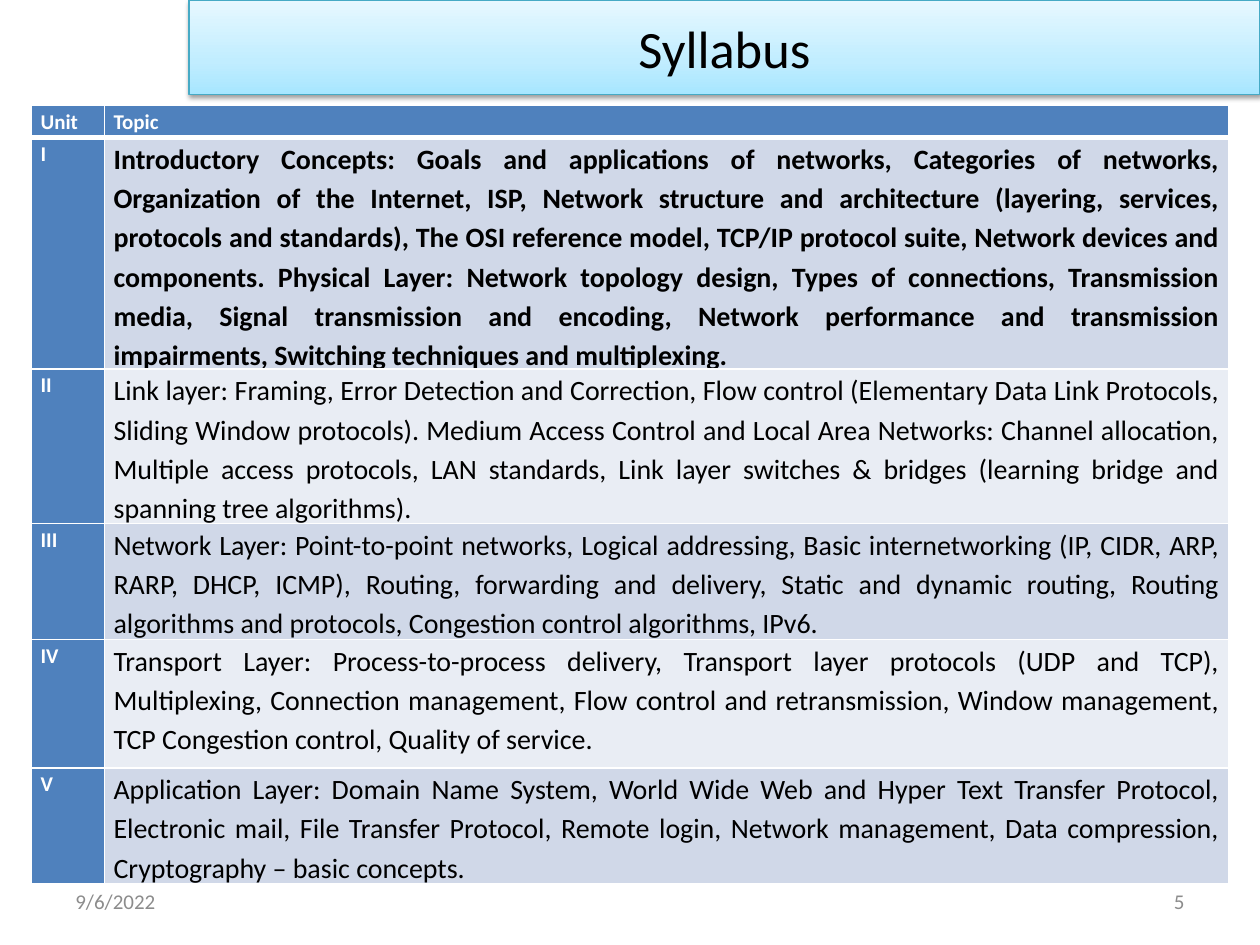
from dataclasses import dataclass

import pptx
import pptx.dml.color
import pptx.enum.text
import pptx.oxml
import pptx.oxml.ns
import pptx.util

Cm = pptx.util.Cm
Pt = pptx.util.Pt
Align = pptx.enum.text.PP_ALIGN
Anchor = pptx.enum.text.MSO_ANCHOR
qn = pptx.oxml.ns.qn

FONT = "Calibri"
BLUE, WHITE, BLACK, GREY = "4F81BD", "FFFFFF", "000000", "8C8C8C"
BANDS = ("D0D8E8", "E9EDF4")
HEAD_HIGH = 0.64
WIDTHS = (1.47, 22.66)


@dataclass
class Unit:
    label: str
    topic: str
    high: float
    bold: bool = False


@dataclass
class Note:
    text: str
    left: float
    align: Align


UNITS = [
    Unit("I", "Introductory Concepts: Goals and applications of networks, Categories of networks, "
         "Organization of the Internet, ISP, Network structure and architecture (layering, services, "
         "protocols and standards), The OSI reference model, TCP/IP protocol suite, Network devices "
         "and components. Physical Layer: Network topology design, Types of connections, Transmission "
         "media, Signal transmission and encoding, Network performance and transmission impairments, "
         "Switching techniques and multiplexing.", 3.23, True),
    Unit("II", "Link layer: Framing, Error Detection and Correction, Flow control (Elementary Data "
         "Link Protocols, Sliding Window protocols). Medium Access Control and Local Area Networks: "
         "Channel allocation, Multiple access protocols, LAN standards, Link layer switches & bridges "
         "(learning bridge and spanning tree algorithms).", 2.59),
    Unit("III", "Network Layer: Point-to-point networks, Logical addressing, Basic internetworking "
         "(IP, CIDR, ARP, RARP, DHCP, ICMP), Routing, forwarding and delivery, Static and dynamic "
         "routing, Routing algorithms and protocols, Congestion control algorithms, IPv6.", 1.93),
    Unit("IV", "Transport Layer: Process-to-process delivery, Transport layer protocols (UDP and "
         "TCP), Multiplexing, Connection management, Flow control and retransmission, Window "
         "management, TCP Congestion control, Quality of service.", 2.59),
    Unit("V", "Application Layer: Domain Name System, World Wide Web and Hyper Text Transfer "
         "Protocol, Electronic mail, File Transfer Protocol, Remote login, Network management, Data "
         "compression, Cryptography – basic concepts.", 1.83),
]
NOTES = [Note("9/6/2022", 1.27, Align.LEFT), Note("5", 18.21, Align.RIGHT)]


def tint(code: str) -> pptx.dml.color.RGBColor:
    return pptx.dml.color.RGBColor.from_string(code)


def node(xml: str):
    """Parse an element whose tag has the a: prefix."""
    tag, rest = xml[:-1].split(">", 1)[0], xml[xml.index(">"):]
    slash = "/" if tag.endswith("/") else ""
    return pptx.oxml.parse_xml(f"{tag.rstrip('/')} {pptx.oxml.ns.nsdecls('a')}{slash}{rest}")


def write(frame, text: str, size: float, code: str, align: Align, bold: bool = False):
    line = frame.paragraphs[0]
    line.alignment = align
    run = line.add_run()
    run.text = text
    font = run.font
    font.name, font.size, font.bold = FONT, Pt(size), bold
    font.color.rgb = tint(code)
    return line


def add_title(slide) -> None:
    title = slide.shapes.title
    title.left, title.top, title.width, title.height = Cm(3.81), Cm(0), Cm(21.59), Cm(1.9)
    title.fill.gradient()
    title.fill.gradient_angle = 90
    props = title.element.spPr
    stops = props.find(".//" + qn("a:gsLst"))
    for stop in list(stops):
        stops.remove(stop)
    for place, code in ((0, "A7E6FF"), (35, "C1EDFF"), (100, "E7F8FF")):
        stops.append(node(f'<a:gs pos="{place * 1000}"><a:srgbClr val="{code}"/></a:gs>'))
    title.line.color.rgb = tint("46AAC5")
    title.line.width = Pt(0.75)
    props.append(node(
        f'<a:effectLst><a:outerShdw blurRad="{Pt(3.1)}" dist="{Pt(1.6)}" dir="5400000" '
        f'rotWithShape="0"><a:srgbClr val="{BLACK}"><a:alpha val="38000"/></a:srgbClr>'
        '</a:outerShdw></a:effectLst>'))
    title.text_frame.vertical_anchor = Anchor.MIDDLE
    write(title.text_frame, "Syllabus", 30, BLACK, Align.CENTER)


def add_note(slide, note: Note) -> None:
    box = slide.shapes.add_textbox(Cm(note.left), Cm(17.65), Cm(5.92), Cm(1.02))
    box.text_frame.word_wrap = True
    box.text_frame.vertical_anchor = Anchor.MIDDLE
    write(box.text_frame, note.text, 12, GREY, note.align)


def fill_cell(cell, text: str, size: float, ink: str, back: str, align: Align,
              bold: bool, top: float = 1, base: float = 1) -> None:
    """Write a cell; top and base are its upper and lower border widths."""
    cell.margin_left = cell.margin_right = Cm(0.18)
    cell.margin_top = cell.margin_bottom = 0
    props = cell._tc.get_or_add_tcPr()
    for side, wide in (("L", 1), ("R", 1), ("T", top), ("B", base)):
        props.append(node(f'<a:ln{side} w="{Pt(wide)}"><a:solidFill><a:srgbClr val="{WHITE}"/>'
                          f'</a:solidFill></a:ln{side}>'))
    cell.fill.solid()
    cell.fill.fore_color.rgb = tint(back)
    write(cell.text_frame, text, size, ink, align, bold).line_spacing = 1.15


def add_units(slide) -> None:
    frame = slide.shapes.add_table(len(UNITS) + 1, 2, Cm(0.64), Cm(2.13), Cm(24.13), Cm(15.67))
    table = frame.table
    table.horz_banding = False
    for col, wide in zip(table.columns, WIDTHS):
        col.width = Cm(wide)
    table.rows[0].height = Cm(HEAD_HIGH)
    for col, text in enumerate(("Unit", "Topic")):
        fill_cell(table.cell(0, col), text, 12, WHITE, BLUE, Align.LEFT, True, base=3)
    for row, unit in enumerate(UNITS, 1):
        table.rows[row].height = Cm(unit.high)
        top = 3 if row == 1 else 1
        fill_cell(table.cell(row, 0), unit.label, 12, WHITE, BLUE, Align.JUSTIFY, True, top)
        fill_cell(table.cell(row, 1), unit.topic, 16, BLACK, BANDS[(row - 1) % 2],
                  Align.JUSTIFY, unit.bold, top)
    frame.height = Cm(15.67)


def main() -> None:
    deck = pptx.Presentation()
    deck.slide_width, deck.slide_height = Cm(25.4), Cm(19.05)
    slide = deck.slides.add_slide(deck.slide_layouts[5])
    for note in NOTES:
        add_note(slide, note)
    add_title(slide)
    add_units(slide)
    deck.save("out.pptx")


if __name__ == "__main__":
    main()
